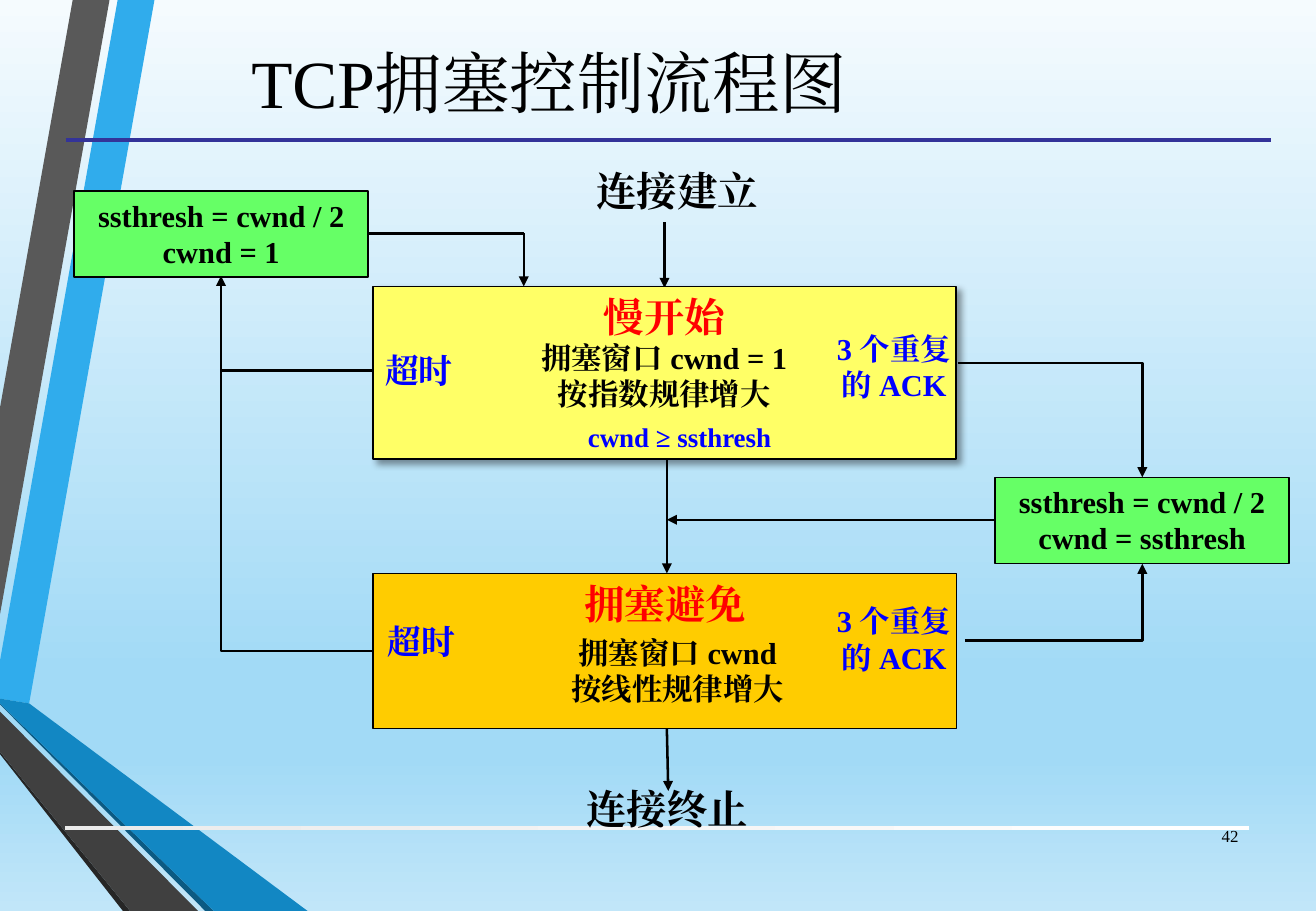
from copy import deepcopy

from lxml import etree
from pptx import Presentation
from pptx.dml.color import RGBColor
from pptx.enum.shapes import MSO_CONNECTOR, MSO_SHAPE
from pptx.enum.text import MSO_ANCHOR, PP_ALIGN
from pptx.oxml.ns import qn
from pptx.util import Cm, Pt

STRAIGHT, ELBOW = MSO_CONNECTOR.STRAIGHT, MSO_CONNECTOR.ELBOW
RECT, PROCESS = MSO_SHAPE.RECTANGLE, MSO_SHAPE.FLOWCHART_PROCESS
LEFT, CENTER, RIGHT = PP_ALIGN.LEFT, PP_ALIGN.CENTER, PP_ALIGN.RIGHT
TOP, MIDDLE = MSO_ANCHOR.TOP, MSO_ANCHOR.MIDDLE
FONT = "Times New Roman"
BLACK, RED, BLUE, GREEN = "000000", "FF0000", "0000FF", "66FF66"


def rgb(color):
    return RGBColor.from_string(color)


def write(sp, text, size, color=BLACK, bold=True, align=CENTER, anchor=TOP, wrap=True):
    tf = sp.text_frame
    tf.text = text
    tf.word_wrap = wrap
    tf.vertical_anchor = anchor
    for p in tf.paragraphs:
        p.alignment = align
        for r in p.runs:
            r.font.size = Pt(size)
            r.font.bold = bold
            r.font.color.rgb = rgb(color)
            r.font.name = FONT
            etree.SubElement(r.font._element, qn("a:ea"), typeface=FONT)


prs = Presentation()
prs.slide_width, prs.slide_height = Cm(27.51), Cm(19.05)
s = prs.slides.add_slide(prs.slide_layouts[6])

fill = s.background.fill
fill.gradient()
fill.gradient_angle = 270
stops = s.element.find(".//" + qn("a:gsLst"))
stops.extend(deepcopy(list(stops)))
sky = [(0, "F5FBFE"), (0.74, "A2DAF6"), (0.83, "A2DAF6"), (1, "C1E6F9")]
for stop, (position, color) in zip(fill.gradient_stops, sky):
    stop.position = position
    stop.color.rgb = rgb(color)

ribbons = [
    ("30ACEC", [(0, 13.82), (0, 14.61), (0.61, 14.71), (3.23, 0), (2.46, 0)]),
    ("595959", [(2.29, 0), (1.52, 0), (0, 8.53), (0, 12.85)]),
    ("262626", [(0, 15.72), (0, 15.77), (2.57, 19.05), (2.72, 19.05)]),
    ("0C5A82", [(0, 14.71), (0, 14.73), (4.29, 19.05), (4.47, 19.05)]),
    ("1287C3", [(0, 14.71), (4.47, 19.05), (6.43, 19.05), (0.61, 14.71), (0, 14.61)]),
    ("404040", [(0, 15.72), (2.72, 19.05), (4.14, 19.05), (0, 14.88)]),
]
for color, points in ribbons:
    corners = [(Cm(x), Cm(y)) for x, y in points]
    outline = s.shapes.build_freeform(*corners[0])
    outline.add_line_segments(corners[1:])
    sp = outline.convert_to_shape()
    sp.shadow.inherit = False
    sp.fill.solid()
    sp.fill.fore_color.rgb = rgb(color)
    sp.line.fill.background()

footer_bar = s.shapes.add_shape(RECT, Cm(1.35), Cm(17.27), Cm(24.76), Cm(0.08))
footer_bar.shadow.inherit = False
footer_bar.line.fill.background()
footer_bar.fill.gradient()
footer_bar.fill.gradient_angle = 0
for stop, color in zip(footer_bar.fill.gradient_stops, ("EBEBEB", "FFFFFF")):
    stop.color.rgb = rgb(color)

connectors = [
    (STRAIGHT, 1.37, 2.92, 26.57, 2.92, "333399", 2.25, False),
    (STRAIGHT, 13.89, 4.65, 13.89, 6.02, BLACK, 1.5, True),
    (STRAIGHT, 13.94, 9.58, 13.94, 11.99, BLACK, 1.5, True),
    (STRAIGHT, 20.8, 10.87, 13.94, 10.87, BLACK, 1.5, True),
    (STRAIGHT, 13.94, 15.24, 13.97, 16.54, BLACK, 1.5, True),
    (STRAIGHT, 7.72, 4.88, 10.95, 4.88, BLACK, 1.5, False),
    (STRAIGHT, 10.95, 4.88, 10.95, 5.99, BLACK, 1.5, True),
    (ELBOW, 7.8, 7.75, 4.62, 5.77, BLACK, 1.5, True),
    (ELBOW, 7.8, 13.61, 4.62, 5.77, BLACK, 1.5, False),
    (ELBOW, 20.17, 13.39, 23.88, 11.79, BLACK, 1.5, True),
    (ELBOW, 20.02, 7.59, 23.88, 9.98, BLACK, 1.5, True),
]
for kind, x1, y1, x2, y2, color, width, arrow in connectors:
    line = s.shapes.add_connector(kind, Cm(x1), Cm(y1), Cm(x2), Cm(y2))
    line.line.color.rgb = rgb(color)
    line.line.width = Pt(width)
    spPr = line._element.spPr
    if arrow:
        etree.SubElement(spPr.find(qn("a:ln")), qn("a:tailEnd"), type="triangle")
    etree.SubElement(spPr, qn("a:effectLst"))
    if kind == ELBOW:
        spPr.find(qn("a:prstGeom")).set("prst", "bentConnector2")
        xfrm = spPr.find(qn("a:xfrm"))
        if xfrm.get("flipH") and xfrm.get("flipV"):
            del xfrm.attrib["flipH"], xfrm.attrib["flipV"]
            xfrm.set("rot", "10800000")

boxes = [
    (PROCESS, 7.8, 11.99, 12.19, 3.25, "FFCC00", 0.75, ""),
    (PROCESS, 7.8, 5.99, 12.19, 3.61, "FFFF66", 1, ""),
    (RECT, 1.55, 3.99, 6.15, 1.8, GREEN, 1, "ssthresh = cwnd / 2\ncwnd = 1"),
    (RECT, 20.8, 9.98, 6.15, 1.8, GREEN, 0.75, "ssthresh = cwnd / 2\ncwnd = ssthresh"),
]
for kind, x, y, w, h, color, width, text in boxes:
    sp = s.shapes.add_shape(kind, Cm(x), Cm(y), Cm(w), Cm(h))
    sp.shadow.inherit = False
    sp.fill.solid()
    sp.fill.fore_color.rgb = rgb(color)
    sp.line.color.rgb = rgb(BLACK)
    sp.line.width = Pt(width)
    if text:
        write(sp, text, 18)
    if color == "FFFF66":
        effects = sp._element.spPr.find(qn("a:effectLst"))
        shadow = etree.SubElement(effects, qn("a:outerShdw"), blurRad=str(Pt(4)),
                                  dist=str(Pt(3)), dir="2700000", algn="tl", rotWithShape="0")
        tint = etree.SubElement(shadow, qn("a:srgbClr"), val=BLACK)
        etree.SubElement(tint, qn("a:alpha"), val="40000")

labels = [
    (12.22, 3.35, 3.96, 1.27, "连接建立", 24, BLACK, LEFT, False),
    (12.01, 16.26, 3.96, 1.27, "连接终止", 24, BLACK, LEFT, False),
    (12.37, 5.99, 3.1, 1.27, "慢开始", 24, RED, LEFT, False),
    (11.96, 11.99, 3.96, 1.27, "拥塞避免", 24, RED, LEFT, False),
    (10.57, 6.96, 6.63, 1.8, "拥塞窗口 cwnd = 1\n按指数规律增大", 18, BLACK, CENTER, True),
    (11.56, 13.13, 5.21, 1.8, "拥塞窗口 cwnd\n按线性规律增大", 18, BLACK, CENTER, True),
    (17.2, 6.78, 2.97, 1.8, "3 个重复\n的 ACK", 18, BLUE, CENTER, True),
    (17.2, 12.47, 2.97, 1.8, "3 个重复\n的 ACK", 18, BLUE, CENTER, True),
    (7.8, 7.19, 1.96, 1.12, "超时", 20, BLUE, LEFT, False),
    (7.85, 12.85, 1.96, 1.12, "超时", 20, BLUE, LEFT, False),
    (12.04, 8.66, 4.39, 0.94, "cwnd ≥ ssthresh", 16, BLUE, LEFT, False),
]
for x, y, w, h, text, size, color, align, wrap in labels:
    sp = s.shapes.add_textbox(Cm(x), Cm(y), Cm(w), Cm(h))
    write(sp, text, size, color, align=align, wrap=wrap)

title = s.shapes.add_textbox(Cm(1.09), Cm(0.13), Cm(20.78), Cm(3.15))
write(title, "TCP拥塞控制流程图", 40, bold=False, anchor=MIDDLE)
number = s.shapes.add_textbox(Cm(24.84), Cm(16.97), Cm(1.3), Cm(1.02))
write(number, "42", 10, bold=False, align=RIGHT, anchor=MIDDLE)

prs.save("out.pptx")
